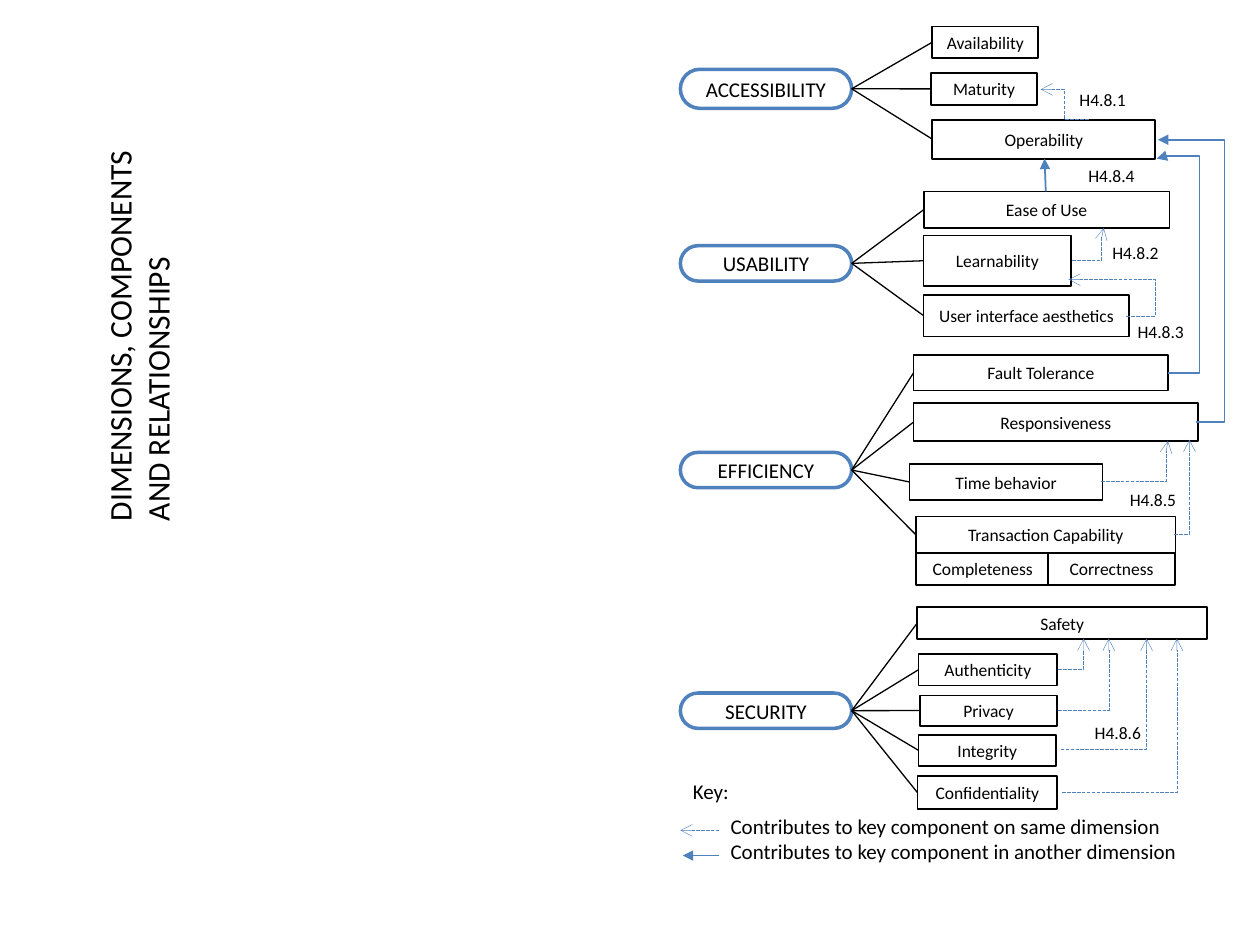
"""Build the slide of dimensions, components and their relationships."""
from dataclasses import dataclass

from lxml.etree import SubElement
from pptx import Presentation
from pptx.dml.color import RGBColor
from pptx.enum.dml import MSO_LINE
from pptx.enum.shapes import MSO_CONNECTOR, MSO_SHAPE
from pptx.enum.text import MSO_ANCHOR, MSO_AUTO_SIZE, PP_ALIGN
from pptx.oxml.ns import qn
from pptx.util import Pt


@dataclass(frozen=True)
class Theme:
    """Colours, font and sizes of the slide."""
    font: str = "Calibri"
    ink: RGBColor = RGBColor(0, 0, 0)
    paper: RGBColor = RGBColor(255, 255, 255)
    accent: RGBColor = RGBColor(0x4F, 0x81, 0xBD)
    title: float = 18
    heading: float = 12
    detail: float = 10


@dataclass(frozen=True)
class Component:
    """A labelled rectangle, measured in points."""
    text: str
    left: float
    top: float
    width: float
    height: float


@dataclass(frozen=True)
class Dimension:
    """A rounded heading that fans out to its components."""
    text: str
    top: float
    height: float
    components: tuple[Component, ...]


@dataclass(frozen=True)
class Arrow:
    """A contribution arrow, with the x and y values where it bends."""
    start: tuple[float, float]
    end: tuple[float, float]
    bends: tuple[float, ...] = ()
    solid: bool = False
    straight: bool = False


THEME = Theme()
DIMENSION_LEFT, DIMENSION_WIDTH = 388.8, 97.9
SAFETY_BOTTOM = 365

DIMENSIONS = (
    Dimension("ACCESSIBILITY", 39.6, 22.3, (
        Component("Availability", 532.8, 15.1, 60.5, 18),
        Component("Maturity", 532.1, 41.8, 60.5, 18),
        Component("Operability", 532.8, 68.4, 127.4, 22.3),
    )),
    Dimension("USABILITY", 140.4, 20.2, (
        Component("Ease of Use", 527.8, 109.4, 140.4, 20.9),
        Component("Learnability", 527.8, 134.6, 84.2, 28.8),
        Component("User interface aesthetics", 527.8, 168.5, 117.4, 23.8),
    )),
    Dimension("EFFICIENCY", 258.5, 20.2, (
        Component("Fault Tolerance", 522, 203, 145.4, 20.2),
        Component("Responsiveness", 522, 230.4, 162.7, 21.6),
        Component("Time behavior", 519.8, 265, 110.2, 20.9),
        Component("Transaction Capability", 523.4, 295.2, 148.3, 20.9),
    )),
    Dimension("SECURITY", 396, 20.2, (
        Component("Safety", 524.2, 347, 165.6, 18),
        Component("Authenticity", 524.9, 373.7, 79.2, 18),
        Component("Privacy", 525.6, 397.4, 78.5, 17.3),
        Component("Integrity", 524.9, 419.8, 78.5, 18),
        Component("Confidentiality", 524.2, 443.5, 79.9, 18.7),
    )),
)
TRANSACTION_PARTS = (
    Component("Completeness", 523.4, 316.1, 76.3, 18),
    Component("Correctness", 599, 316.1, 72.3, 18),
)
ARROWS = (
    Arrow((622.1, 68.4), (594.7, 51.1), (608.4,)),
    Arrow((597.6, 109.4), (596.9, 90.7), solid=True, straight=True),
    Arrow((612.7, 149), (630.7, 130.3), (629.5,)),
    Arrow((643.7, 180.7), (610.6, 159.8), (660.2,)),
    Arrow((667.4, 213.1), (661, 90.7), (685.4, 89.3), solid=True),
    Arrow((683.3, 241.2), (661.7, 79.9), (699.8,), solid=True),
    Arrow((629.3, 275), (667.4, 252), (666.5,)),
    Arrow((671, 305.3), (679.7, 251.3)),
    Arrow((604.8, 382.3), (619.2, SAFETY_BOTTOM)),
    Arrow((604.8, 406.1), (633.6, SAFETY_BOTTOM)),
    Arrow((606.2, 428.4), (655.2, SAFETY_BOTTOM)),
    Arrow((607, 452.9), (672.5, SAFETY_BOTTOM)),
    Arrow((411.1, 474.5), (388.8, 474.5), straight=True),
    Arrow((411.1, 488.9), (390.2, 488.9), solid=True, straight=True),
)
LABELS = (
    ("H4.8.1", 609.8, 47.5), ("H4.8.2", 628.6, 134.6), ("H4.8.3", 643, 180),
    ("H4.8.4", 614.9, 90.7), ("H4.8.5", 638.6, 275.8), ("H4.8.6", 618.5, 409),
)


def write_text(frame, text: str, *, size: float, align=PP_ALIGN.LEFT,
               anchor=MSO_ANCHOR.TOP, wrap: bool = True) -> None:
    """Fill a text frame, one paragraph for each line of text."""
    frame.word_wrap = wrap
    frame.vertical_anchor = anchor
    frame.text = text
    for para in frame.paragraphs:
        para.alignment = align
        for span in para.runs:
            span.font.name = THEME.font
            span.font.size = Pt(size)
            span.font.color.rgb = THEME.ink


def add_label(page, text: str, left: float, top: float, width: float,
              height: float, *, size: float, wrap: bool = False) -> None:
    """Add a plain text box."""
    box = page.shapes.add_textbox(Pt(left), Pt(top), Pt(width), Pt(height))
    write_text(box.text_frame, text, size=size, wrap=wrap)


def add_box(page, item: Component, *, size: float, line: RGBColor,
            weight: float, roundness: float) -> None:
    """Add an outlined box with centred text."""
    box = page.shapes.add_shape(MSO_SHAPE.ROUNDED_RECTANGLE, Pt(item.left), Pt(item.top),
                                Pt(item.width), Pt(item.height))
    box.adjustments[0] = roundness
    box.shadow.inherit = False
    box.fill.solid()
    box.fill.fore_color.rgb = THEME.paper
    box.line.color.rgb = line
    box.line.width = Pt(weight)
    write_text(box.text_frame, item.text, size=size, align=PP_ALIGN.CENTER,
               anchor=MSO_ANCHOR.MIDDLE)


def add_link(page, start, end, *, color: RGBColor, weight: float,
             kind=MSO_CONNECTOR.STRAIGHT):
    """Add a connector without a shadow and return it."""
    link = page.shapes.add_connector(kind, *(Pt(value) for value in (*start, *end)))
    link.line.color.rgb = color
    link.line.width = Pt(weight)
    SubElement(link._element.spPr, qn("a:effectLst"))
    return link


def add_arrow(page, arrow: Arrow) -> None:
    """Add a straight or bent contribution arrow."""
    kind = MSO_CONNECTOR.STRAIGHT if arrow.straight else MSO_CONNECTOR.ELBOW
    link = add_link(page, arrow.start, arrow.end, color=THEME.accent,
                    weight=1 if arrow.solid else 0.25, kind=kind)
    if not arrow.solid:
        link.line.dash_style = MSO_LINE.LONG_DASH
    properties = link._element.spPr
    SubElement(properties.find(qn("a:ln")), qn("a:tailEnd"),
               type="triangle" if arrow.solid else "arrow")
    if arrow.straight:
        return
    geometry = properties.find(qn("a:prstGeom"))
    geometry.set("prst", f"bentConnector{len(arrow.bends) + 2}")
    guides = geometry.find(qn("a:avLst"))
    for number, (bend, first, last) in enumerate(zip(arrow.bends, arrow.start, arrow.end), 1):
        share = round((bend - first) / (last - first) * 100000)
        SubElement(guides, qn("a:gd"), name=f"adj{number}", fmla=f"val {share}")


def add_title(page, text: str) -> None:
    """Turn the title placeholder upright along the left side."""
    title = page.shapes.title
    title.left, title.top, title.width, title.height = (
        Pt(value) for value in (-35.3, 164.9, 229, 51.1))
    title.rotation = 270
    write_text(title.text_frame, text, size=THEME.title, wrap=False)
    title.text_frame.auto_size = MSO_AUTO_SIZE.SHAPE_TO_FIT_TEXT


def add_dimension(page, item: Dimension) -> None:
    """Add a dimension, its components and the lines between them."""
    hub = (DIMENSION_LEFT + DIMENSION_WIDTH, item.top + item.height / 2)
    heading = Component(item.text, DIMENSION_LEFT, item.top, DIMENSION_WIDTH, item.height)
    add_box(page, heading, size=THEME.heading, line=THEME.accent, weight=2, roundness=0.5)
    for part in item.components:
        add_box(page, part, size=THEME.detail, line=THEME.ink, weight=1, roundness=0)
        add_link(page, (part.left, part.top + part.height / 2), hub,
                 color=THEME.ink, weight=0.75)


def main() -> None:
    """Build and save the deck."""
    deck = Presentation()
    deck.slide_width, deck.slide_height = Pt(720), Pt(540)
    page = deck.slides.add_slide(deck.slide_layouts[5])
    add_title(page, "DIMENSIONS, COMPONENTS\nAND RELATIONSHIPS")
    for item in DIMENSIONS:
        add_dimension(page, item)
    for part in TRANSACTION_PARTS:
        add_box(page, part, size=THEME.detail, line=THEME.ink, weight=1, roundness=0)
    for arrow in ARROWS:
        add_arrow(page, arrow)
    for text, left, top in LABELS:
        add_label(page, text, left, top, 41, 19.4, size=THEME.detail)
    add_label(page, "Key:", 388.8, 441.4, 35.3, 21.6, size=THEME.heading)
    add_label(page, "Contributes to key component on same dimension\n"
              "Contributes to key component in another dimension",
              410.4, 461.5, 278.6, 36, size=THEME.heading, wrap=True)
    deck.save("out.pptx")


if __name__ == "__main__":
    main()
